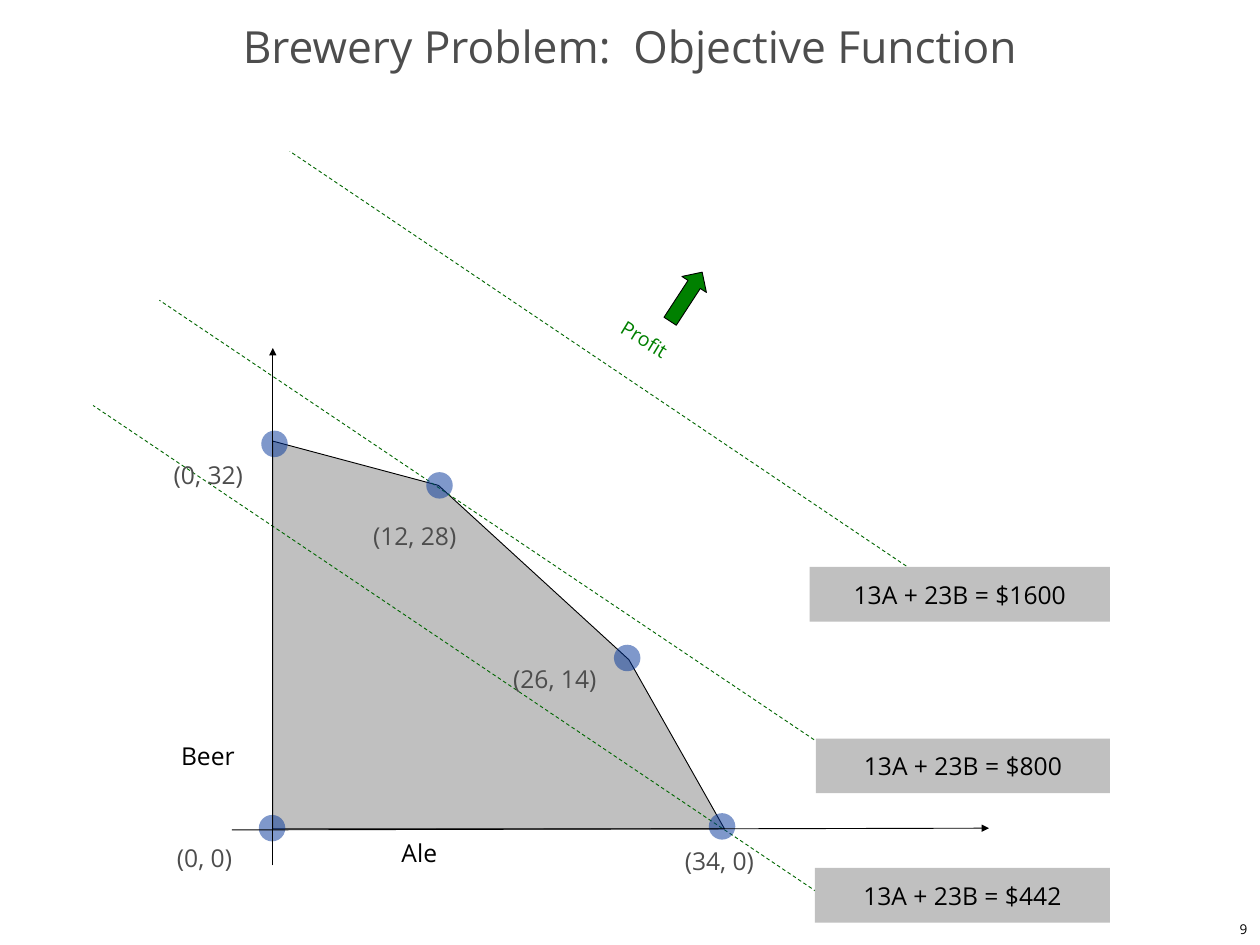
from dataclasses import dataclass

from lxml.etree import SubElement
from pptx import Presentation
from pptx.dml.color import RGBColor
from pptx.enum.dml import MSO_LINE
from pptx.enum.shapes import MSO_CONNECTOR, MSO_SHAPE
from pptx.enum.text import MSO_ANCHOR, PP_ALIGN
from pptx.oxml.ns import qn
from pptx.util import Cm, Pt


@dataclass(frozen=True)
class Theme:
    """Colours, type sizes and line width of the slide."""
    font: str = "Open Sans"
    ink: RGBColor = RGBColor(0x00, 0x00, 0x00)
    soft_ink: RGBColor = RGBColor(0x4D, 0x4D, 0x4D)
    panel: RGBColor = RGBColor(0xC0, 0xC0, 0xC0)
    objective: RGBColor = RGBColor(0x00, 0x66, 0x00)
    profit: RGBColor = RGBColor(0x00, 0x80, 0x00)
    marker: RGBColor = RGBColor(0x00, 0x33, 0x99)
    title_size: Pt = Pt(36)
    label_size: Pt = Pt(20)
    profit_size: Pt = Pt(16)
    page_size: Pt = Pt(11)
    stroke: Pt = Pt(0.75)


@dataclass(frozen=True)
class Box:
    """A rectangle in centimetres."""
    left: float
    top: float
    width: float
    height: float

    def inner(self, left, top, width, height):
        """Return a box placed relative to this one."""
        return Box(self.left + left, self.top + top, width, height)

    def point(self, x, y):
        """Return a point of this box as slide lengths."""
        return Cm(self.left + x), Cm(self.top + y)

    def frame(self):
        """Return the four lengths that a shape needs."""
        return Cm(self.left), Cm(self.top), Cm(self.width), Cm(self.height)


@dataclass(frozen=True)
class Corner:
    """A corner of the feasible region with its marker and label."""
    label: str
    vertex: tuple
    marker: tuple
    label_place: tuple


THEME = Theme()
LABEL_HEIGHT = 1.22
MARKER_SIZE = 0.76
CORNERS = [
    Corner("(0, 0)", (0, 11.12), (-0.02, 11.1), (-3.91, 11.33, 3.91)),
    Corner("(0, 32)", (0, 0), (0.05, 0.08), (-3.65, 0.35, 3.61)),
    Corner("(12, 28)", (4.75, 1.27), (4.78, 1.27), (1.81, 2.11, 4.52)),
    Corner("(26, 14)", (10.21, 6.27), (10.16, 6.22), (5.62, 6.2, 4.93)),
    Corner("(34, 0)", (12.95, 11.12), (12.88, 11.05), (10.85, 11.43, 3.91)),
]
OBJECTIVES = [
    ("13A + 23B = $800", (22.48, 18.09), (1.9, 4.27), 16.84, 8.43),
    ("13A + 23B = $1600", (24.97, 13.01), (5.64, 0), 11.92, 8.61),
    ("13A + 23B = $442", (20.9, 21.34), (0, 7.29), 20.55, 8.46),
]


def write(shape, text, size, color, align=PP_ALIGN.CENTER, anchor=MSO_ANCHOR.TOP,
          wrap=True, margins=(0.36, 0.18)):
    """Put one formatted paragraph into a shape and return it."""
    frame = shape.text_frame
    frame.word_wrap = wrap
    frame.vertical_anchor = anchor
    frame.margin_left = frame.margin_right = Cm(margins[0])
    frame.margin_top = frame.margin_bottom = Cm(margins[1])
    paragraph = frame.paragraphs[0]
    paragraph.text = text
    paragraph.alignment = align
    paragraph.font.name = THEME.font
    paragraph.font.size = size
    paragraph.font.color.rgb = color
    return paragraph


def add_label(slide, box, text, size, color, **options):
    """Add a text box and return it."""
    shape = slide.shapes.add_textbox(*box.frame())
    write(shape, text, size, color, **options)
    return shape


def paint(shape, fill, outline=None):
    """Give a shape a flat fill and an optional outline."""
    shape.shadow.inherit = False
    shape.fill.solid()
    shape.fill.fore_color.rgb = fill
    if outline is None:
        shape.line.fill.background()
    else:
        shape.line.color.rgb = outline
        shape.line.width = THEME.stroke


def add_line(slide, start, end, color):
    """Add a straight line without a shadow and return it."""
    line = slide.shapes.add_connector(MSO_CONNECTOR.STRAIGHT, *start, *end)
    line.line.color.rgb = color
    line.line.width = THEME.stroke
    SubElement(line._element.spPr, qn("a:effectLst"))
    return line


def add_title(slide, box):
    """Add the slide title."""
    shape = slide.shapes.add_textbox(*box.frame())
    paragraph = write(shape, "Brewery Problem:  Objective Function", THEME.title_size,
                      THEME.soft_ink, anchor=MSO_ANCHOR.MIDDLE)
    paragraph.line_spacing = 0.7


def add_page_number(slide, box):
    """Add the page number at the lower right."""
    add_label(slide, box, "9", THEME.page_size, THEME.ink, align=PP_ALIGN.RIGHT,
              anchor=MSO_ANCHOR.MIDDLE, wrap=False)


def add_feasible_region(slide, box):
    """Draw the polygon of feasible production plans."""
    first, *others = [box.point(*corner.vertex) for corner in CORNERS]
    builder = slide.shapes.build_freeform(*first)
    builder.add_line_segments(others, close=True)
    paint(builder.convert_to_shape(), THEME.panel, THEME.ink)


def add_objectives(slide, box):
    """Draw the dashed profit lines and their equations."""
    for equation, start, end, top, width in OBJECTIVES:
        line = add_line(slide, box.point(*start), box.point(*end), THEME.objective)
        line.line.dash_style = MSO_LINE.DASH
        place = box.inner(box.width - width, top, width, 1.57)
        panel = slide.shapes.add_shape(MSO_SHAPE.RECTANGLE, *place.frame())
        paint(panel, THEME.panel)
        write(panel, equation, THEME.label_size, THEME.ink, margins=(0.53, 0.36))


def add_corners(slide, box):
    """Label and mark each corner of the feasible region."""
    for corner in CORNERS:
        add_label(slide, box.inner(*corner.label_place, LABEL_HEIGHT), corner.label,
                  THEME.label_size, THEME.soft_ink)
    for corner in CORNERS:
        left, top = (center - MARKER_SIZE / 2 for center in corner.marker)
        place = box.inner(left, top, MARKER_SIZE, MARKER_SIZE)
        marker = slide.shapes.add_shape(MSO_SHAPE.OVAL, *place.frame())
        paint(marker, THEME.marker)
        color = marker._element.spPr.find(qn("a:solidFill"))[0]
        SubElement(color, qn("a:alpha"), val="50000")


def add_profit_direction(slide, box):
    """Show the direction in which profit grows."""
    label = add_label(slide, box.inner(0, 1.55, 2.21, 1.04), "Profit", THEME.profit_size,
                      THEME.profit, align=PP_ALIGN.LEFT, wrap=False)
    label.rotation = 31.2
    place = box.inner(box.width - 0.84, 0, 0.84, 1.68)
    arrow = slide.shapes.add_shape(MSO_SHAPE.UP_ARROW, *place.frame())
    paint(arrow, THEME.profit, THEME.ink)
    arrow.rotation = 33.1


def add_axes(slide, box):
    """Draw and name the ale and beer axes."""
    axes = [
        ("Ale", (3.33, 11.2), (-1.17, 11.15), (20.53, 11.1)),
        ("Beer", (-2.99, 8.43), (0, 12.17), (0, -2.67)),
    ]
    for name, place, start, end in axes:
        add_label(slide, box.inner(*place, 3.3, LABEL_HEIGHT), name, THEME.label_size,
                  THEME.ink, align=PP_ALIGN.LEFT)
        axis = add_line(slide, box.point(*start), box.point(*end), THEME.ink)
        SubElement(axis.line._get_or_add_ln(), qn("a:tailEnd"), type="triangle")


def main():
    """Build the slide and save it."""
    presentation = Presentation()
    presentation.slide_width, presentation.slide_height = Cm(36.12), Cm(27.1)
    slide = presentation.slides.add_slide(presentation.slide_layouts[6])
    region = Box(7.82, 12.65, 12.95, 11.12)
    add_page_number(slide, Box(28.6, 26.19, 7.52, 0.91))
    add_feasible_region(slide, region)
    add_title(slide, Box(0, 0.61, 36.12, 1.8))
    add_objectives(slide, Box(2.67, 4.34, 29.15, 22.1))
    add_corners(slide, region)
    add_profit_direction(slide, Box(17.4, 7.67, 2.69, 2.59))
    add_axes(slide, region)
    presentation.save("out.pptx")


if __name__ == "__main__":
    main()
